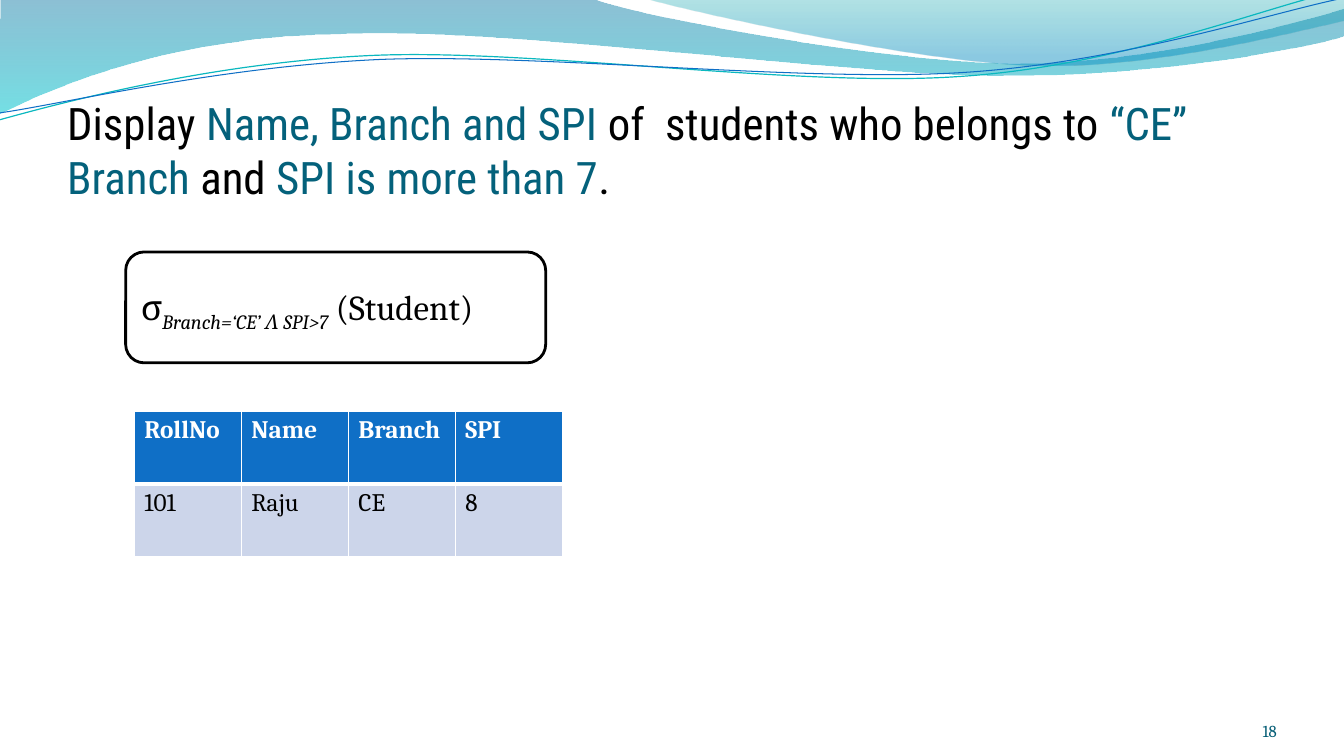
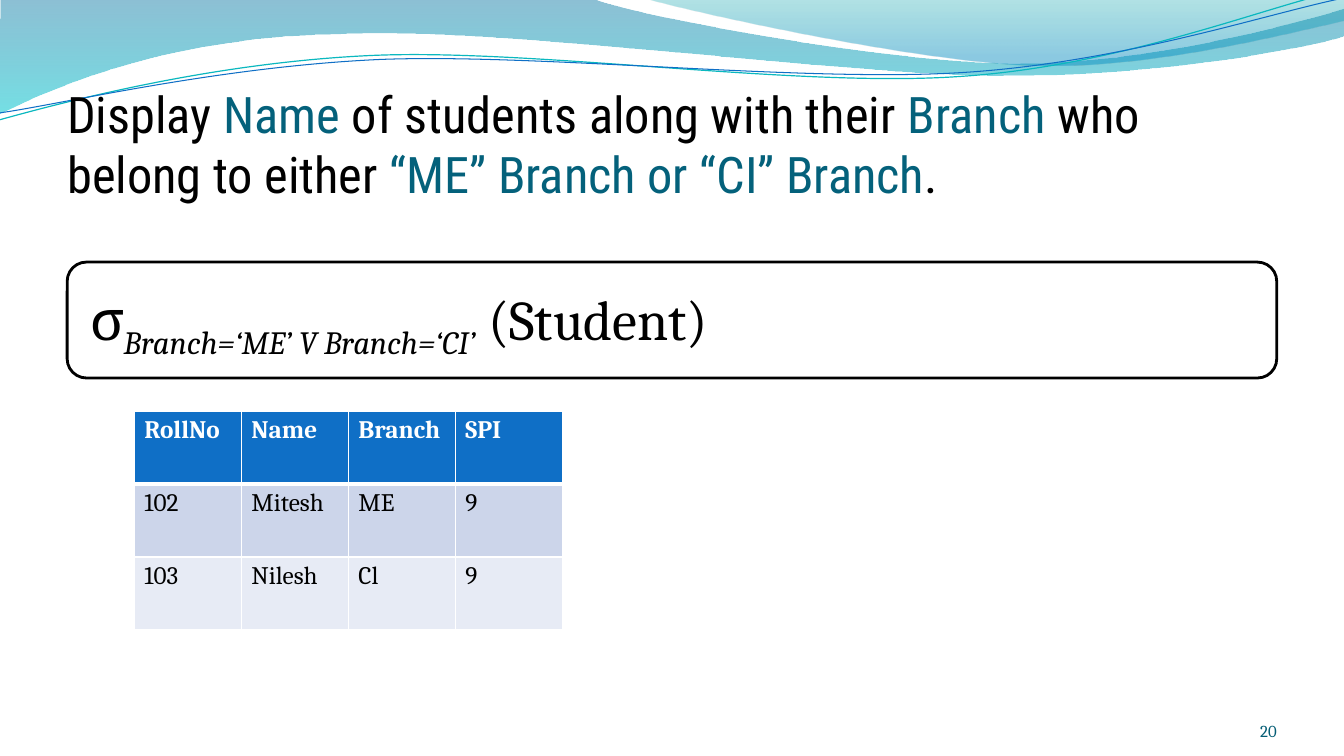
import itertools

import lxml.etree
import pptx
import pptx.dml.color
import pptx.enum.shapes
import pptx.enum.text
import pptx.oxml.ns
import pptx.util

theme = {
    "color": {
        "ink": "000000", "paper": "FFFFFF", "accent": "04617B", "page": "045D75",
        "header": "0F6FC6", "bands": ["CCD5EA", "E7EBF5"],
    },
    "page": {"name": "Cambria", "size": pptx.util.Pt(12)},
    "header": {"name": "Cambria", "size": pptx.util.Pt(18), "bold": True},
    "cell": {"name": "Cambria", "size": pptx.util.Pt(18), "bold": False},
}
color = theme["color"]
rgb = pptx.dml.color.RGBColor.from_string
qn = pptx.oxml.ns.qn
anchor = pptx.enum.text.MSO_ANCHOR
shape_kind = pptx.enum.shapes.MSO_SHAPE

waves = [
    {"start": (0, 0),
     "parts": [[(5.87, -0.01)],
               [(6.34, 0.17), (8.84, 0.63), (10.11, 0.63)],
               [(11.37, 0.63), (12.77, 0.26), (13.33, 0.09)],
               [(13.34, 0.36)],
               [(13.11, 0.44), (11.59, 0.76), (9.94, 0.75)],
               [(8.29, 0.75), (5.09, 0.28), (3.43, 0.34)],
               [(1.72, 0.36), (0.61, 0.83), (-0.01, 1.13)]],
     "stops": [(0, "0074A1", 45), (1, "00C6CF", 55)]},
    {"start": (6.39, -0.01),
     "parts": [[(6.79, 0.11), (9.09, 0.62), (10.25, 0.65)],
               [(11.4, 0.69), (12.82, 0.32), (13.33, 0.21)],
               [(13.33, 0)]],
     "stops": [(0, "00A1A9", 30), (0.8, "008BBF", 45)]},
    {"start": (-0.01, 1.19),
     "parts": [[(0.64, 1.01), (2.11, 0.62), (3.69, 0.55)],
               [(5.27, 0.48), (7.89, 0.87), (9.5, 0.76)],
               [(11.1, 0.66), (12.51, 0.08), (13.31, -0.1)]],
     "line": ("0AB8BF", 0.85)},
    {"start": (0, 1.12),
     "parts": [[(0.63, 1.03), (2.18, 0.66), (3.78, 0.59)],
               [(5.37, 0.53), (7.96, 0.82), (9.55, 0.72)],
               [(11.14, 0.62), (12.55, 0.14), (13.33, -0.02)]],
     "line": ("0F6FC6", 0.75)},
]

queries = [
    {"page": "18",
     "title": ["Display ", "Name, Branch and SPI", " of  students who belongs to ",
               "“CE” Branch", " and ", "SPI is more than 7", "."],
     "title_size": 32,
     "condition": "Branch=‘CE’ Λ SPI>7",
     "formula_size": 25,
     "formula_box": (1.87, 25, 6.25, 11),
     "formula_inset": 0.1,
     "students": [["101", "Raju", "CE", "8"]]},
    {"page": "20",
     "title": ["Display ", "Name", " of students along with their ", "Branch",
               " who belong to either ", "“ME” Branch or “CI” Branch", "."],
     "title_size": 36,
     "condition": "Branch=‘ME’ V Branch=‘CI’",
     "formula_size": 40,
     "formula_box": (1, 26, 18, 11.5),
     "formula_inset": 0.17,
     "students": [["102", "Mitesh", "ME", "9"], ["103", "Nilesh", "Cl", "9"]]},
]
headings = ["RollNo", "Name", "Branch", "SPI"]

deck = pptx.Presentation()
deck.slide_width = pptx.util.Inches(13.33)
deck.slide_height = pptx.util.Inches(7.5)
column = deck.slide_width / 20
row = deck.slide_height / 75


def area(left, top, width, height):
    return [round(n * unit) for n, unit in zip((left, top, width, height), (column, row) * 2)]


def write(paragraph, text, ink, style):
    run = paragraph.add_run()
    run.text = text
    run.font.color.rgb = rgb(ink)
    for key, value in style.items():
        setattr(run.font, key, value)
    return run


for query in queries:
    slide = deck.slides.add_slide(deck.slide_layouts[6])

    for wave in waves:
        outline = [wave["start"], *itertools.chain(*wave["parts"])]
        points = [(pptx.util.Inches(x), pptx.util.Inches(y)) for x, y in outline]
        builder = slide.shapes.build_freeform(*points[0])
        builder.add_line_segments(points[1:], close="stops" in wave)
        ribbon = builder.convert_to_shape()
        ribbon.shadow.inherit = False
        segments = iter(list(ribbon.element.iter(qn("a:lnTo"))))
        for part in wave["parts"]:
            group = list(itertools.islice(segments, len(part)))
            if len(group) == 3:
                curve = lxml.etree.Element(qn("a:cubicBezTo"))
                group[0].addprevious(curve)
                for segment in group:
                    curve.append(segment[0])
                    segment.getparent().remove(segment)
        if "stops" in wave:
            ribbon.line.fill.background()
            ribbon.fill.gradient()
            ribbon.fill.gradient_angle = 270
            for stop, (position, tint, _) in zip(ribbon.fill.gradient_stops, wave["stops"]):
                stop.position = position
                stop.color.rgb = rgb(tint)
            tints = ribbon.element.spPr.iter(qn("a:srgbClr"))
            for tint, (_, _, opacity) in zip(tints, wave["stops"]):
                lxml.etree.SubElement(tint, qn("a:alpha"), val=str(opacity * 1000))
        else:
            ribbon.fill.background()
            ribbon.line.color.rgb = rgb(wave["line"][0])
            ribbon.line.width = pptx.util.Pt(wave["line"][1])

    title = slide.shapes.add_textbox(*area(1, 7.7, 18, 12.5)).text_frame
    formula_box = slide.shapes.add_shape(shape_kind.ROUNDED_RECTANGLE, *area(*query["formula_box"]))
    formula_box.shadow.inherit = False
    formula_box.fill.solid()
    formula_box.fill.fore_color.rgb = rgb(color["paper"])
    formula_box.line.color.rgb = rgb(color["ink"])
    formula_box.line.width = pptx.util.Pt(2)
    formula = formula_box.text_frame
    page = slide.shapes.add_textbox(*area(17.33, 69.5, 1.67, 4)).text_frame

    inset = pptx.util.Inches(query["formula_inset"])
    frames = [
        (title, {"vertical_anchor": anchor.BOTTOM, "margin_left": 0, "margin_right": 0,
                 "margin_top": pptx.util.Inches(0.05), "margin_bottom": 0}),
        (formula, {"vertical_anchor": anchor.MIDDLE, "margin_left": inset, "margin_right": inset,
                   "margin_top": inset, "margin_bottom": inset}),
        (page, {"vertical_anchor": anchor.BOTTOM, "margin_left": 0, "margin_right": 0,
                "margin_top": 0, "margin_bottom": 0}),
    ]
    for frame, layout in frames:
        frame.word_wrap = True
        for key, value in layout.items():
            setattr(frame, key, value)

    title_style = {"name": "Roboto Condensed", "size": pptx.util.Pt(query["title_size"])}
    for phrase, ink in zip(query["title"], itertools.cycle((color["ink"], color["accent"]))):
        write(title.paragraphs[0], phrase, ink, title_style)

    expression = formula.paragraphs[0]
    expression.alignment = pptx.enum.text.PP_ALIGN.LEFT
    expression.line_spacing = 0.9
    formula_style = {"name": "Cambria", "size": pptx.util.Pt(query["formula_size"])}
    write(expression, "σ", color["ink"], formula_style)
    condition = write(expression, query["condition"], color["ink"], {**formula_style, "italic": True})
    condition.font._element.set("baseline", "-25000")
    write(expression, " (Student)", color["ink"], formula_style)

    page.paragraphs[0].alignment = pptx.enum.text.PP_ALIGN.RIGHT
    write(page.paragraphs[0], query["page"], color["page"], theme["page"])

    records = [headings, *query["students"]]
    result = slide.shapes.add_table(
        len(records), len(headings), *area(2, 40.8, 6.37, 7.23 * len(records))).table
    for r, record in enumerate(records):
        for c, value in enumerate(record):
            cell = result.cell(r, c)
            edges = {"L": 1, "R": 1, "T": 1, "B": 1 if r else 3}
            for side, points in edges.items():
                edge = lxml.etree.SubElement(cell._tc.get_or_add_tcPr(), qn("a:ln" + side),
                                             w=str(pptx.util.Pt(points)))
                paint = lxml.etree.SubElement(edge, qn("a:solidFill"))
                lxml.etree.SubElement(paint, qn("a:srgbClr"), val=color["paper"])
            cell.fill.solid()
            cell.fill.fore_color.rgb = rgb(color["bands"][(r - 1) % 2] if r else color["header"])
            write(cell.text_frame.paragraphs[0], value, color["ink" if r else "paper"],
                  theme["cell" if r else "header"])

deck.save("out.pptx")
